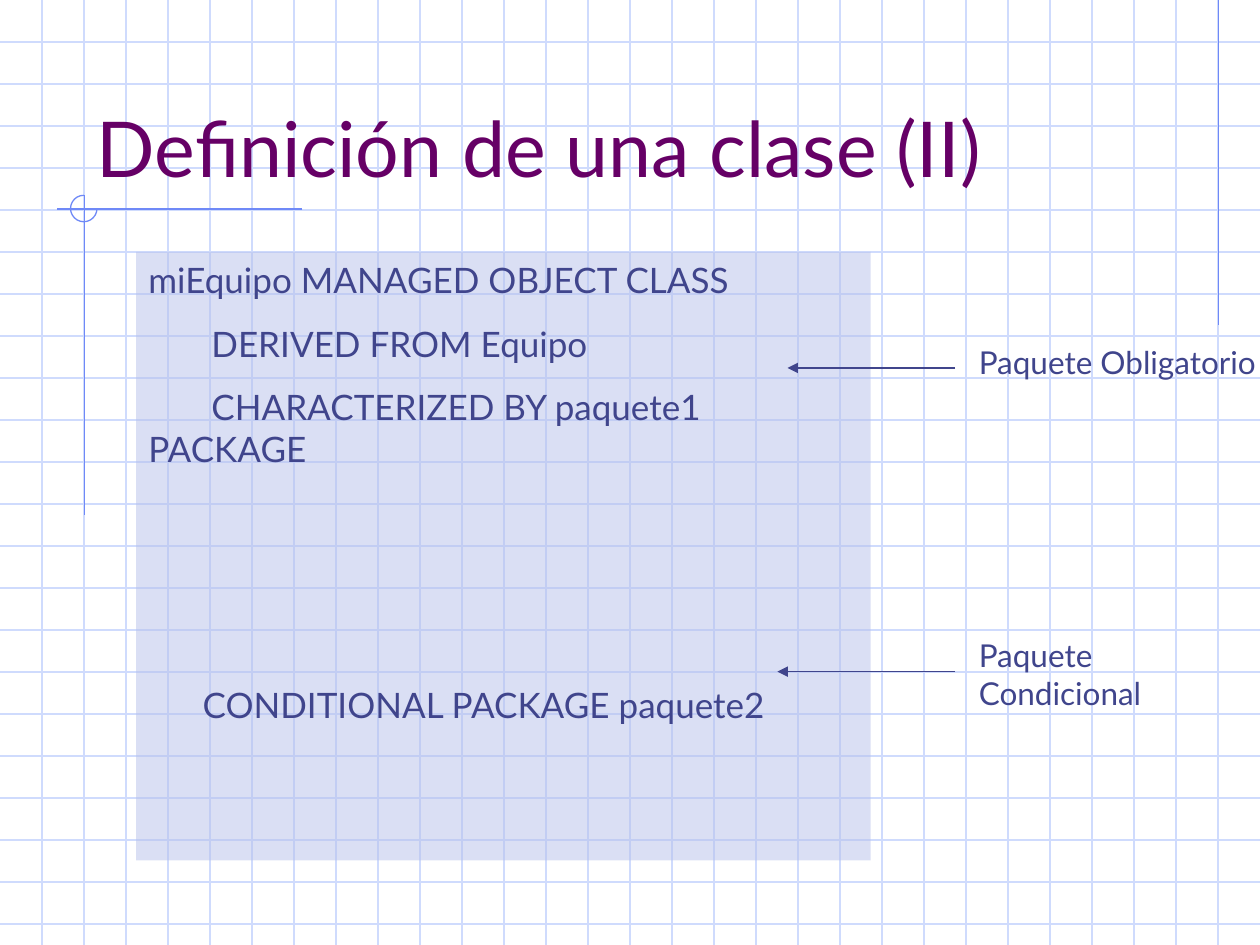
"""Build the slide "Definición de una clase (II)" on a squared-paper background."""
from lxml.etree import SubElement
from pptx import Presentation
from pptx.dml.color import RGBColor
from pptx.enum.shapes import MSO_CONNECTOR as Connector, MSO_SHAPE as Shape
from pptx.enum.text import MSO_ANCHOR as Anchor, PP_ALIGN as Align
from pptx.oxml.ns import qn
from pptx.util import Inches, Pt

GRID, ACCENT, INK, PANEL, TITLE = "CFDBFD", "6F89F7", "40458C", "B7C1EB", "660066"
WIDTH, HEIGHT, STEPS_PER_INCH = 10, 7.5, 3

presentation = Presentation()
presentation.slide_width = Inches(WIDTH)
presentation.slide_height = Inches(HEIGHT)
slide = presentation.slides.add_slide(presentation.slide_layouts[6])
shapes = slide.shapes


def add_line(start, end, color, arrow=False):
    ends = [Inches(value) for value in (*start, *end)]
    connector = shapes.add_connector(Connector.STRAIGHT, *ends)
    connector.line.color.rgb = RGBColor.from_string(color)
    connector.line.width = Pt(0.75)
    if arrow:
        SubElement(connector.line._get_or_add_ln(), qn("a:tailEnd"), type="triangle")
    SubElement(connector._element.spPr, qn("a:effectLst"))


def write_text(shape, paragraphs, size, color, anchor=Anchor.TOP):
    frame = shape.text_frame
    frame.word_wrap = True
    frame.vertical_anchor = anchor
    for index, (text, space_before, indent) in enumerate(paragraphs):
        paragraph = frame.add_paragraph() if index else frame.paragraphs[0]
        paragraph.text = text
        paragraph.alignment = Align.LEFT
        if index:
            paragraph.space_before = Pt(space_before)
        if indent:
            properties = paragraph._p.get_or_add_pPr()
            properties.set("marL", "0")
            properties.set("indent", str(Inches(indent)))
        font_format = {"name": "Lato", "size": Pt(size)}
        for name, value in font_format.items():
            setattr(paragraph.font, name, value)
        paragraph.font.color.rgb = RGBColor.from_string(color)


for row in range(1, int(HEIGHT * STEPS_PER_INCH) + 1):
    y = row / STEPS_PER_INCH
    add_line((0, y), (WIDTH, y), GRID)
for column in range(1, WIDTH * STEPS_PER_INCH):
    x = column / STEPS_PER_INCH
    add_line((x, 0), (x, HEIGHT), GRID)

for start, end in [
    ((9.67, 0), (9.67, 2.58)),
    ((2.4, 1.66), (0.45, 1.66)),
    ((0.67, 1.55), (0.67, 4.09)),
]:
    add_line(start, end, ACCENT)

arc = shapes.add_shape(Shape.ARC, Inches(0.56), Inches(1.55), Inches(0.21), Inches(0.21))
arc.shadow.inherit = False
arc.adjustments[0] = 0
arc.adjustments[1] = 162
arc.fill.background()
arc.line.color.rgb = RGBColor.from_string(ACCENT)
arc.line.width = Pt(0.75)

title = shapes.add_textbox(Inches(0.67), Inches(0.33), Inches(8.5), Inches(1.25))
write_text(title, [("Definición de una clase (II)", 0, 0)], 44, TITLE, Anchor.BOTTOM)

panel = shapes.add_shape(Shape.RECTANGLE, Inches(1.08), Inches(2), Inches(5.83), Inches(4.83))
panel.shadow.inherit = False
panel.fill.solid()
panel.fill.fore_color.rgb = RGBColor.from_string(PANEL)
panel_color = panel._element.spPr.find(qn("a:solidFill")).find(qn("a:srgbClr"))
SubElement(panel_color, qn("a:alpha"), val="50000")
panel.line.fill.background()
definition = [
    ("miEquipo MANAGED OBJECT CLASS", 0, 0),
    ("DERIVED FROM Equipo", 12.5, 0.5),
    ("CHARACTERIZED BY paquete1 PACKAGE", 12.5, 0.5),
    ("CONDITIONAL PACKAGE paquete2", 122, 0.43),
]
write_text(panel, definition, 20, INK)

for label, label_top, arrow_y, arrow_tip in [
    ("Paquete Obligatorio", 2.67, 2.92, 6.25),
    ("Paquete Condicional", 5, 5.33, 6.17),
]:
    box = shapes.add_textbox(Inches(7.67), Inches(label_top), Inches(2.42), Inches(0.7))
    write_text(box, [(label, 0, 0)], 18, INK)
    add_line((7.58, arrow_y), (arrow_tip, arrow_y), INK, arrow=True)

presentation.save("out.pptx")
